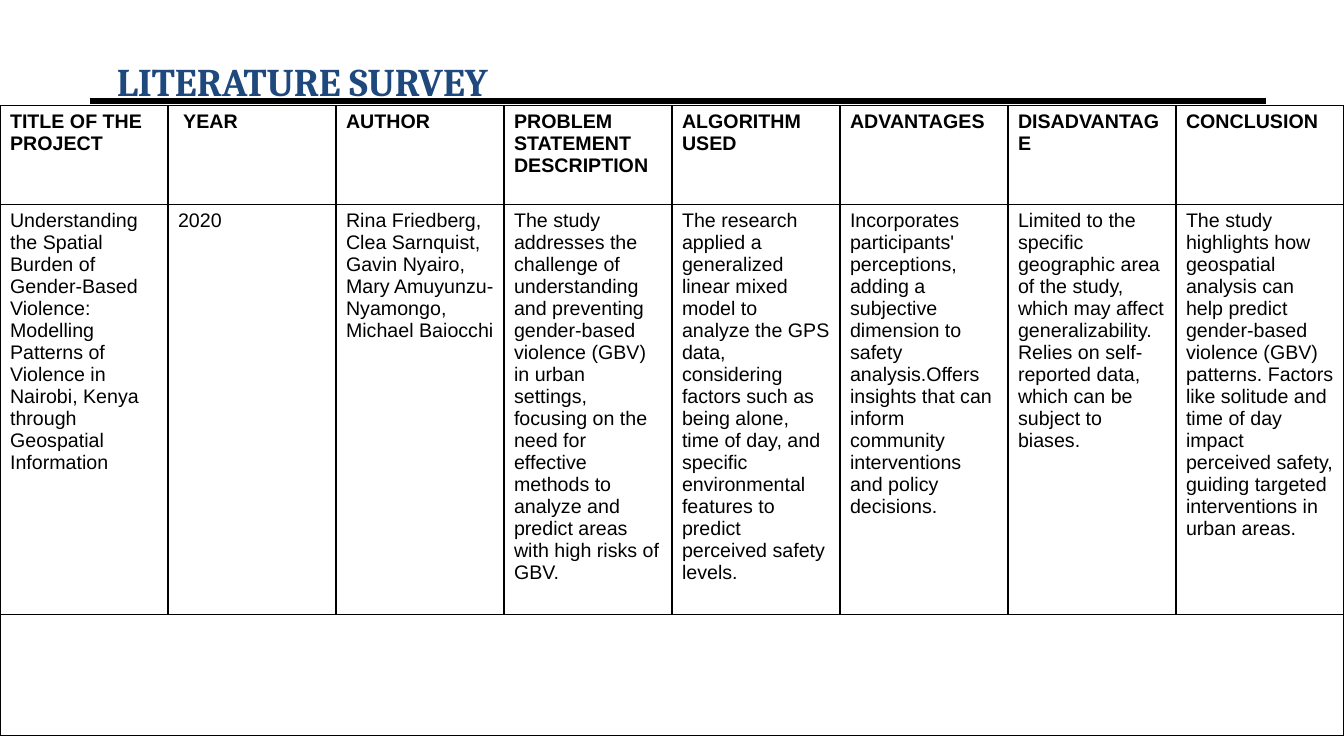
from lxml import etree
from pptx import Presentation
from pptx.dml.color import RGBColor
from pptx.enum import shapes, text
from pptx.oxml import ns
from pptx.util import Inches, Pt

BLACK = RGBColor(0x00, 0x00, 0x00)
WHITE = RGBColor(0xFF, 0xFF, 0xFF)
NAVY = RGBColor(0x1F, 0x49, 0x7D)

ROW_HEIGHTS = (0.98, 3.81, 1.2)
SURVEY = [
    ("TITLE OF THE PROJECT",
     "Understanding the Spatial Burden of Gender-Based Violence: Modelling Patterns of "
     "Violence in Nairobi, Kenya through Geospatial Information"),
    (" YEAR", "2020"),
    ("AUTHOR",
     "Rina Friedberg, Clea Sarnquist, Gavin Nyairo, Mary Amuyunzu-Nyamongo, Michael Baiocchi"),
    ("PROBLEM STATEMENT DESCRIPTION",
     "The study addresses the challenge of understanding and preventing gender-based violence "
     "(GBV) in urban settings, focusing on the need for effective methods to analyze and "
     "predict areas with high risks of GBV."),
    ("ALGORITHM USED",
     "The research applied a generalized linear mixed model to analyze the GPS data, "
     "considering factors such as being alone, time of day, and specific environmental "
     "features to predict perceived safety levels."),
    ("ADVANTAGES",
     "Incorporates participants' perceptions, adding a subjective dimension to safety "
     "analysis.Offers insights that can inform community interventions and policy decisions."),
    ("DISADVANTAGE",
     "Limited to the specific geographic area of the study, which may affect "
     "generalizability.Relies on self-reported data, which can be subject to biases."),
    ("CONCLUSION",
     "The study highlights how geospatial analysis can help predict gender-based violence "
     "(GBV) patterns. Factors like solitude and time of day impact perceived safety, guiding "
     "targeted interventions in urban areas."),
]


def set_font(p, name, size, color, bold):
    p.font.name = name
    p.font.size = Pt(size)
    p.font.color.rgb = color
    p.font.bold = bold


def add_heading(s, left, top, width, height):
    rule_y = Inches(top + 0.7)
    rule = s.shapes.add_connector(shapes.MSO_CONNECTOR.STRAIGHT,
                                  Inches(left), rule_y, Inches(left + width), rule_y)
    rule.line.color.rgb = BLACK
    rule.line.width = Pt(4.5)
    etree.SubElement(rule._element.spPr, ns.qn("a:effectLst"))

    tb = s.shapes.add_textbox(Inches(left), Inches(top), Inches(width), Inches(height))
    tf = tb.text_frame
    tf.word_wrap = True
    tf.vertical_anchor = text.MSO_ANCHOR.MIDDLE
    p = tf.paragraphs[0]
    p.text = "LITERATURE SURVEY"
    p.line_spacing = 2.0
    p._p.get_or_add_pPr().set("marL", str(Inches(0.17)))
    set_font(p, "Cambria", 28, NAVY, True)


def add_borders(cell):
    tc_pr = cell._tc.get_or_add_tcPr()
    for i, side in enumerate(("lnL", "lnR", "lnT", "lnB")):
        ln = etree.Element(ns.qn(f"a:{side}"), w=str(Pt(1)))
        fill = etree.SubElement(ln, ns.qn("a:solidFill"))
        etree.SubElement(fill, ns.qn("a:srgbClr"), val=str(BLACK))
        tc_pr.insert(i, ln)


def add_survey_table(s, left, top, width):
    frame = s.shapes.add_table(len(ROW_HEIGHTS), len(SURVEY), Inches(left), Inches(top),
                               Inches(width), Inches(sum(ROW_HEIGHTS)))
    table = frame.table
    table.first_row = False
    table.horz_banding = False
    for row, height in zip(table.rows, ROW_HEIGHTS):
        row.height = Inches(height)
    for c, (column, entries) in enumerate(zip(table.columns, SURVEY)):
        column.width = Inches(width / len(SURVEY))
        for r, entry in enumerate(entries):
            p = table.cell(r, c).text_frame.paragraphs[0]
            p.text = entry
            set_font(p, "Arial", 14, BLACK, r == 0)
    last = len(ROW_HEIGHTS) - 1
    table.cell(last, 0).merge(table.cell(last, len(SURVEY) - 1))
    for cell in table.iter_cells():
        cell.fill.solid()
        cell.fill.fore_color.rgb = WHITE
        add_borders(cell)


def main():
    prs = Presentation()
    prs.slide_width = Inches(13.33)
    prs.slide_height = Inches(7.5)
    s = prs.slides.add_slide(prs.slide_layouts[6])
    add_heading(s, 0.89, 0.3, 11.67, 0.53)
    add_survey_table(s, 0, 1.05, 13.33)
    prs.save("out.pptx")


if __name__ == "__main__":
    main()
